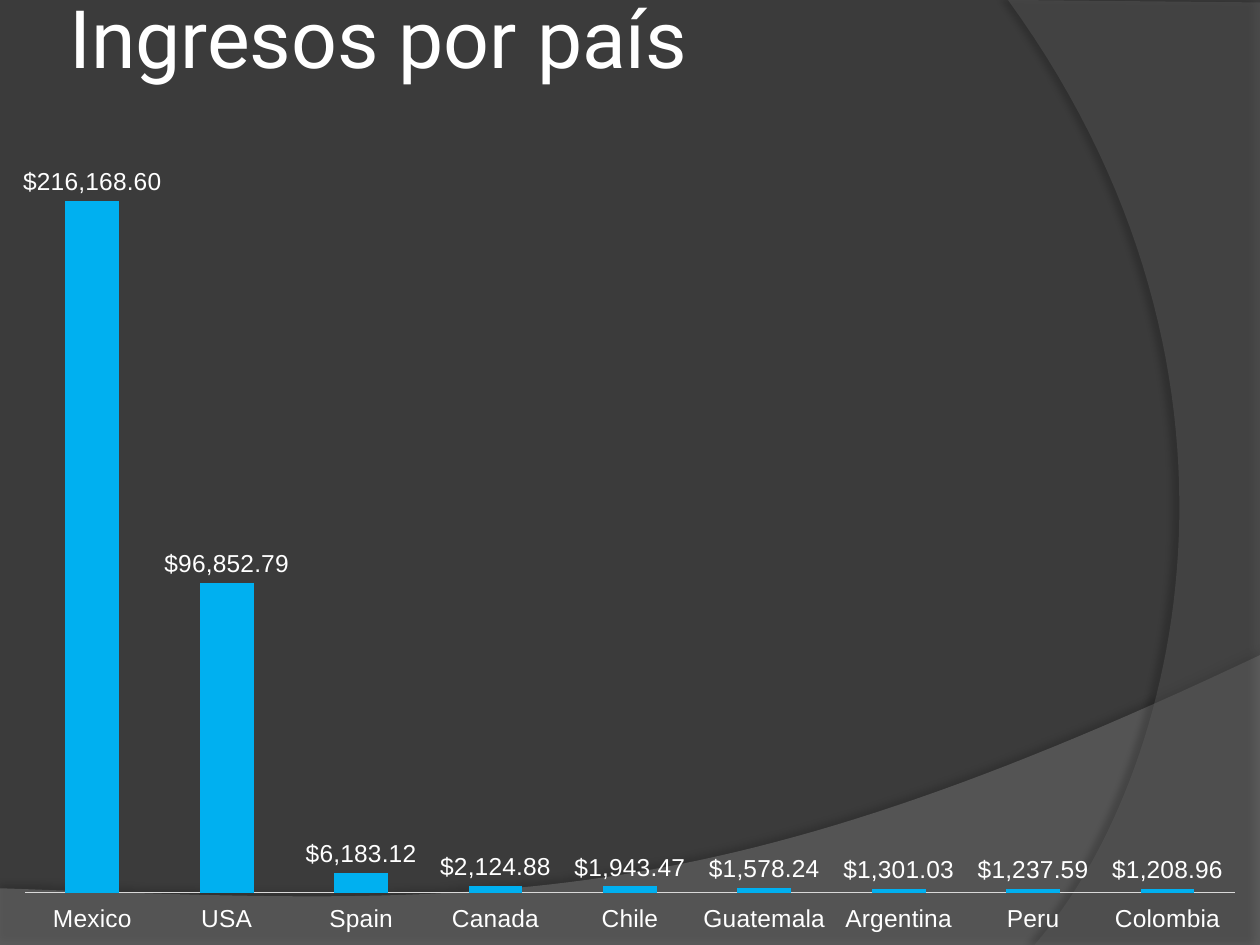
from lxml.etree import SubElement
from pptx import Presentation
from pptx.chart.data import CategoryChartData
from pptx.dml.color import RGBColor
from pptx.enum.chart import XL_CHART_TYPE as ChartType
from pptx.enum.chart import XL_LABEL_POSITION as LabelPosition
from pptx.enum.chart import XL_TICK_LABEL_POSITION as TickLabels
from pptx.enum.chart import XL_TICK_MARK as TickMark
from pptx.enum.text import MSO_ANCHOR as Anchor
from pptx.oxml import parse_xml
from pptx.oxml.ns import nsdecls, qn
from pptx.util import Pt

EMU_PER_PX = 9144
WIDTH, HEIGHT = 1000, 750
CURVE_STEPS = 60

WHITE = RGBColor(0xFF, 0xFF, 0xFF)
CHARCOAL = RGBColor(0x3B, 0x3B, 0x3B)
GRAY = RGBColor(0x7F, 0x7F, 0x7F)
DARK_GRAY = RGBColor(0x5E, 0x5E, 0x5E)
AXIS_GRAY = RGBColor(0xD9, 0xD9, 0xD9)
BLUE = RGBColor(0x00, 0xB0, 0xF0)

TITLE_FONT, CHART_FONT = "Roboto", "Arial"
MONEY = '"$"#,##0.00'

INCOME = {
    "Mexico": 216168.60,
    "USA": 96852.79,
    "Spain": 6183.12,
    "Canada": 2124.88,
    "Chile": 1943.47,
    "Guatemala": 1578.24,
    "Argentina": 1301.03,
    "Peru": 1237.59,
    "Colombia": 1208.96,
}


def px(length):
    return round(length * EMU_PER_PX)


def bezier(*controls):
    points = []
    for step in range(CURVE_STEPS + 1):
        t = step / CURVE_STEPS
        weights = ((1 - t) ** 3, 3 * t * (1 - t) ** 2, 3 * t * t * (1 - t), t ** 3)
        points.append(tuple(sum(w * c[axis] for w, c in zip(weights, controls)) for axis in (0, 1)))
    return points


class SlideBuilder:
    def __init__(self, deck):
        self.slide = deck.slides.add_slide(deck.slide_layouts[6])
        self.shapes = self.slide.shapes

    def background(self, color):
        fill = self.slide.background.fill
        fill.solid()
        fill.fore_color.rgb = color

    def wave(self, points, color, opacity, shadow_opacity, shadow_distance, shadow_angle):
        outline = [(px(x), px(y)) for x, y in points]
        builder = self.shapes.build_freeform(*outline[0])
        builder.add_line_segments(outline[1:], close=True)
        shape = builder.convert_to_shape()
        shape.fill.solid()
        shape.fill.fore_color.rgb = color
        shape.line.fill.background()
        self.set_opacity(shape.fill._xPr.find(".//" + qn("a:srgbClr")), opacity)
        shape.shadow.inherit = False
        effects = shape._element.spPr.find(qn("a:effectLst"))
        shadow = SubElement(effects, qn("a:outerShdw"), blurRad=str(Pt(4)),
                            dist=str(Pt(shadow_distance)), dir=str(shadow_angle * 60000),
                            algn="ctr", rotWithShape="0")
        self.set_opacity(SubElement(shadow, qn("a:srgbClr"), val="000000"), shadow_opacity)

    def set_opacity(self, color_element, percent):
        SubElement(color_element, qn("a:alpha"), val=str(percent * 1000))

    def title(self, text, left, top, width, height):
        box = self.shapes.add_textbox(px(left), px(top), px(width), px(height))
        frame = box.text_frame
        frame.word_wrap = True
        frame.vertical_anchor = Anchor.MIDDLE
        frame.margin_left = frame.margin_right = px(5)
        frame.margin_top = frame.margin_bottom = px(5)
        frame.text = text
        self.style(frame.paragraphs[0].runs[0].font, TITLE_FONT, 46)

    def style(self, font, name, size):
        font.name = name
        font.size = Pt(size)
        font.color.rgb = WHITE

    def column_chart(self, values, left, top, width, height):
        data = CategoryChartData(number_format=MONEY)
        data.categories = list(values)
        data.add_series("Series 1", list(values.values()))
        chart = self.shapes.add_chart(ChartType.COLUMN_CLUSTERED, px(left), px(top),
                                      px(width), px(height), data).chart
        chart.has_legend = False
        chart.has_title = False
        self.style(chart.font, CHART_FONT, 10)

        category_axis = chart.category_axis
        category_axis.major_tick_mark = TickMark.NONE
        category_axis.tick_label_position = TickLabels.LOW
        category_axis.format.line.color.rgb = AXIS_GRAY
        self.style(category_axis.tick_labels.font, CHART_FONT, 14)
        value_axis = chart.value_axis
        value_axis.visible = False
        value_axis.has_major_gridlines = False
        value_axis.minimum_scale, value_axis.maximum_scale = 0, 250000
        value_axis.tick_labels.number_format = MONEY
        value_axis.tick_labels.number_format_is_linked = False

        plot = chart.plots[0]
        plot.gap_width, plot.overlap = 150, -25
        plot.vary_by_categories = False
        series = plot.series[0]
        series.format.fill.solid()
        series.format.fill.fore_color.rgb = BLUE
        labels = series.data_labels
        labels.show_value = True
        labels.position = LabelPosition.OUTSIDE_END
        labels.number_format = MONEY
        labels.number_format_is_linked = False
        self.style(labels.font, CHART_FONT, 14)
        self.place_plot(chart, x=0.02, y=0.02, w=0.96, h=0.92)

    def place_plot(self, chart, **position):
        area = chart._chartSpace.chart.plotArea
        for old in area.findall(qn("c:layout")):
            area.remove(old)
        sizes = "".join(f'<c:{key} val="{value}"/>' for key, value in position.items())
        area.insert(0, parse_xml(
            f'<c:layout {nsdecls("c")}><c:manualLayout><c:layoutTarget val="inner"/>'
            f'<c:xMode val="edge"/><c:yMode val="edge"/>{sizes}</c:manualLayout></c:layout>'))


def main():
    deck = Presentation()
    deck.slide_width, deck.slide_height = px(WIDTH), px(HEIGHT)
    page = SlideBuilder(deck)
    page.background(CHARCOAL)
    bottom_curve = bezier((WIDTH, 520), (559, 729), (391, 719), (0, 705))
    page.wave([(0, HEIGHT), (WIDTH, HEIGHT)] + bottom_curve, GRAY, 45, 35, 3.5, 270)
    right_curve = bezier((821, HEIGHT), (935, 619), (1018, 300), (800, 0))
    page.wave([(WIDTH, 2), (WIDTH, HEIGHT)] + right_curve, DARK_GRAY, 40, 45, 4, 180)
    page.title("Ingresos por país", 50, -34, 900, 125)
    page.column_chart(INCOME, 0, 60, 1000, 690)
    deck.save("out.pptx")


if __name__ == "__main__":
    main()
